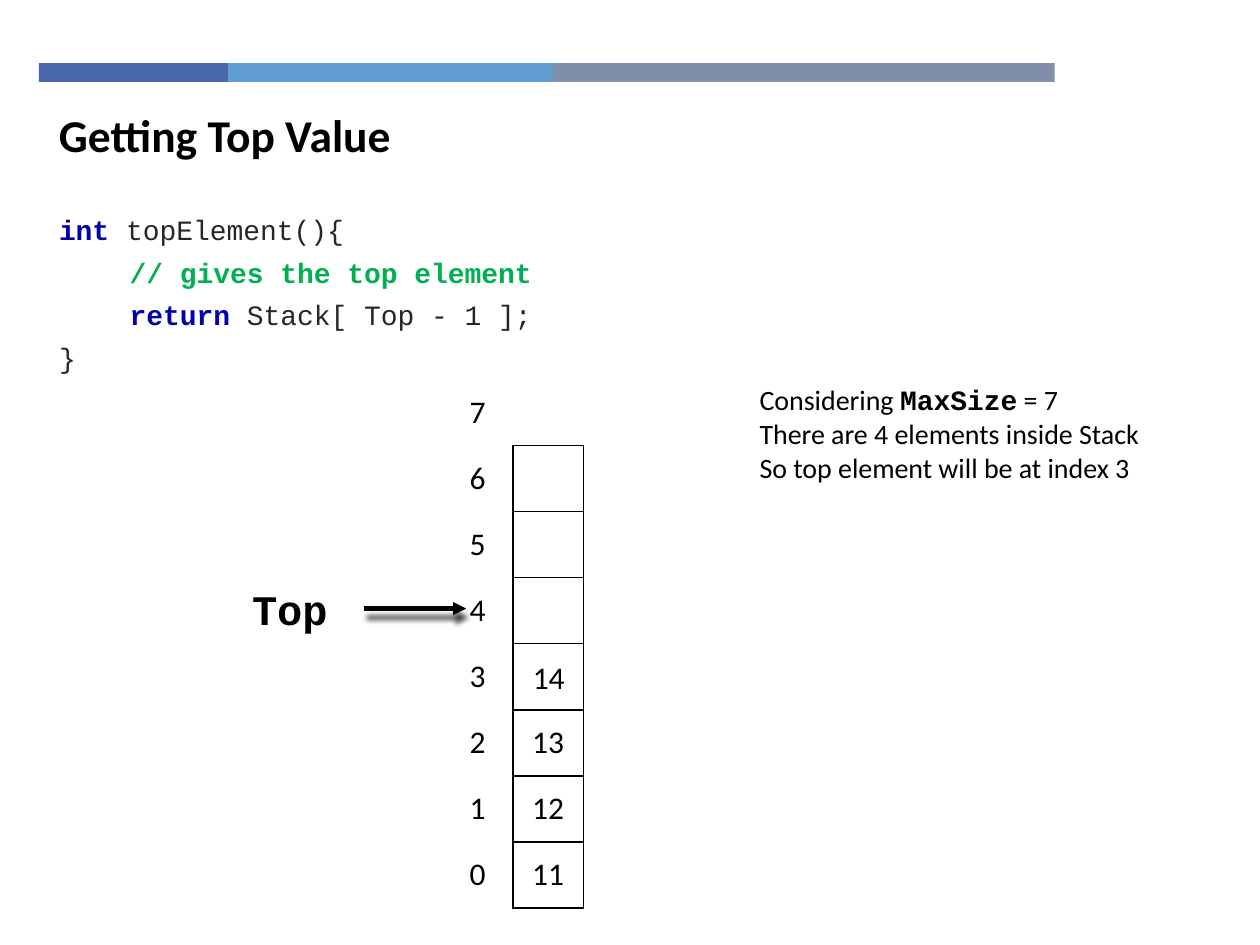
"""Builds a slide on reading the top value of an array stack."""
from lxml import etree
from pptx import Presentation
from pptx.dml.color import RGBColor
from pptx.enum.shapes import MSO_CONNECTOR, MSO_SHAPE
from pptx.enum.text import MSO_ANCHOR, PP_ALIGN
from pptx.oxml.ns import qn
from pptx.util import Inches, Pt

COLORS = {"black": "000000", "white": "FFFFFF", "navy": "4A66AC", "blue": "629DD1",
          "slate": "7F8FA9", "keyword": "0000B0", "code": "262626", "comment": "00B050"}
SANS, MONO = "Calibri", "Courier New"


def color(name):
    return RGBColor.from_string(COLORS[name])


def box(left, top, width, height):
    return [Inches(value) for value in (left, top, width, height)]


def add_run(paragraph, text, size, font=SANS, name="black", bold=False):
    run = paragraph.add_run()
    run.text = text
    run.font.size, run.font.name, run.font.bold = Pt(size), font, bold
    run.font.color.rgb = color(name)


def write(frame, lines, size, align=None, anchor=MSO_ANCHOR.TOP):
    frame.word_wrap = True
    frame.vertical_anchor = anchor
    for index, runs in enumerate(lines):
        paragraph = frame.paragraphs[0] if index == 0 else frame.add_paragraph()
        paragraph.alignment = align
        for text, *style in runs:
            add_run(paragraph, text, size, *style)
    return frame


def add_text(slide, place, lines, size, **layout):
    return write(slide.shapes.add_textbox(*box(*place)).text_frame, lines, size, **layout)


def add_rect(slide, place, fill):
    shape = slide.shapes.add_shape(MSO_SHAPE.RECTANGLE, *box(*place))
    shape.shadow.inherit = False
    shape.fill.solid()
    shape.fill.fore_color.rgb = color(fill)
    shape.line.fill.background()
    return shape


def add_bars(slide):
    left = 0.31
    for width, fill in ((1.5, "navy"), (2.58, "blue"), (3.98, "slate")):
        add_rect(slide, (left, 0.5, width, 0.15), fill)
        left += width


def add_code(slide):
    lines = [[("int ", MONO, "keyword", True), ("topElement(){", MONO, "code")],
             [("\t", MONO, "comment", True),
              ("// gives the top element", MONO, "comment", True)],
             [("\treturn ", MONO, "keyword", True), ("Stack[ Top - 1 ];", MONO, "code")],
             [("}", MONO, "code")]]
    frame = add_text(slide, (0.37, 1.69, 6.59, 1.67), lines, 16)
    for paragraph in frame.paragraphs:
        paragraph.line_spacing = 0.8
        paragraph.space_before = paragraph.space_after = Pt(4.5)
        properties = paragraph._p.get_or_add_pPr()
        properties.set("marL", str(Inches(0.56)))
        properties.set("indent", str(-Inches(0.56)))


def set_borders(cell, drawn):
    properties = cell._tc.get_or_add_tcPr()
    for index, side in enumerate("LRTB"):
        line = etree.Element(qn(f"a:ln{side}"), w=str(Pt(1)))
        if side in drawn:
            fill = etree.SubElement(line, qn("a:solidFill"))
            etree.SubElement(fill, qn("a:srgbClr"), val=COLORS["black"])
        else:
            etree.SubElement(line, qn("a:noFill"))
        properties.insert(index, line)


def add_stack(slide):
    values = {2: "13", 1: "12", 0: "11"}
    count = 8
    table = slide.shapes.add_table(count, 2, *box(3.51, 3.01, 1.12, 4.2)).table
    table.first_row = table.horz_banding = False
    for row in range(count):
        slot = count - 1 - row
        borders = ("", "B") if row == 0 else ("R", "LRTB")
        for column, text in enumerate((str(slot), values.get(slot, ""))):
            cell = table.cell(row, column)
            cell.fill.background()
            cell.vertical_anchor = MSO_ANCHOR.MIDDLE
            paragraph = cell.text_frame.paragraphs[0]
            paragraph.alignment = PP_ALIGN.CENTER
            paragraph.font.size = Pt(18)
            if text:
                add_run(paragraph, text, 18)
            set_borders(cell, borders[column])


def add_arrow(slide, start, end, y):
    arrow = slide.shapes.add_connector(MSO_CONNECTOR.STRAIGHT, *box(start, y, end, y))
    arrow.line.color.rgb = color("black")
    arrow.line.width = Pt(2.5)
    etree.SubElement(arrow.line._get_or_add_ln(), qn("a:tailEnd"), type="triangle")
    effects = etree.SubElement(arrow._element.spPr, qn("a:effectLst"))
    shadow = etree.SubElement(effects, qn("a:outerShdw"), blurRad=str(Pt(3)),
                              dist=str(Pt(5.5)), dir=str(75 * 60000), rotWithShape="0")
    shade = etree.SubElement(shadow, qn("a:srgbClr"), val=COLORS["black"])
    etree.SubElement(shade, qn("a:alpha"), val="75000")


def main():
    deck = Presentation()
    deck.slide_width, deck.slide_height = Inches(10), Inches(7.5)
    slide = deck.slides.add_slide(deck.slide_layouts[6])
    centred = {"align": PP_ALIGN.CENTER, "anchor": MSO_ANCHOR.MIDDLE}
    add_bars(slide)
    add_code(slide)
    add_text(slide, (0.37, 0.8, 7.16, 0.54),
             [[("Getting Top Value", SANS, "black", True)]], 26)
    add_stack(slide)
    add_text(slide, (5.93, 2.99, 5.48, 0.91),
             [[("Considering ",), ("MaxSize", MONO, "black", True), (" = 7",)],
              [("There are 4 elements inside Stack",)],
              [("So top element will be at index 3",)]], 16, align=PP_ALIGN.JUSTIFY)
    label = add_rect(slide, (1.71, 4.62, 1.18, 0.43), "white")
    write(label.text_frame, [[("Top", MONO, "black", True)]], 24, **centred)
    add_arrow(slide, 2.89, 3.7, 4.83)
    add_text(slide, (4.08, 5.11, 0.55, 0.52), [[("14",)]], 18, **centred)
    deck.save("out.pptx")


main()
